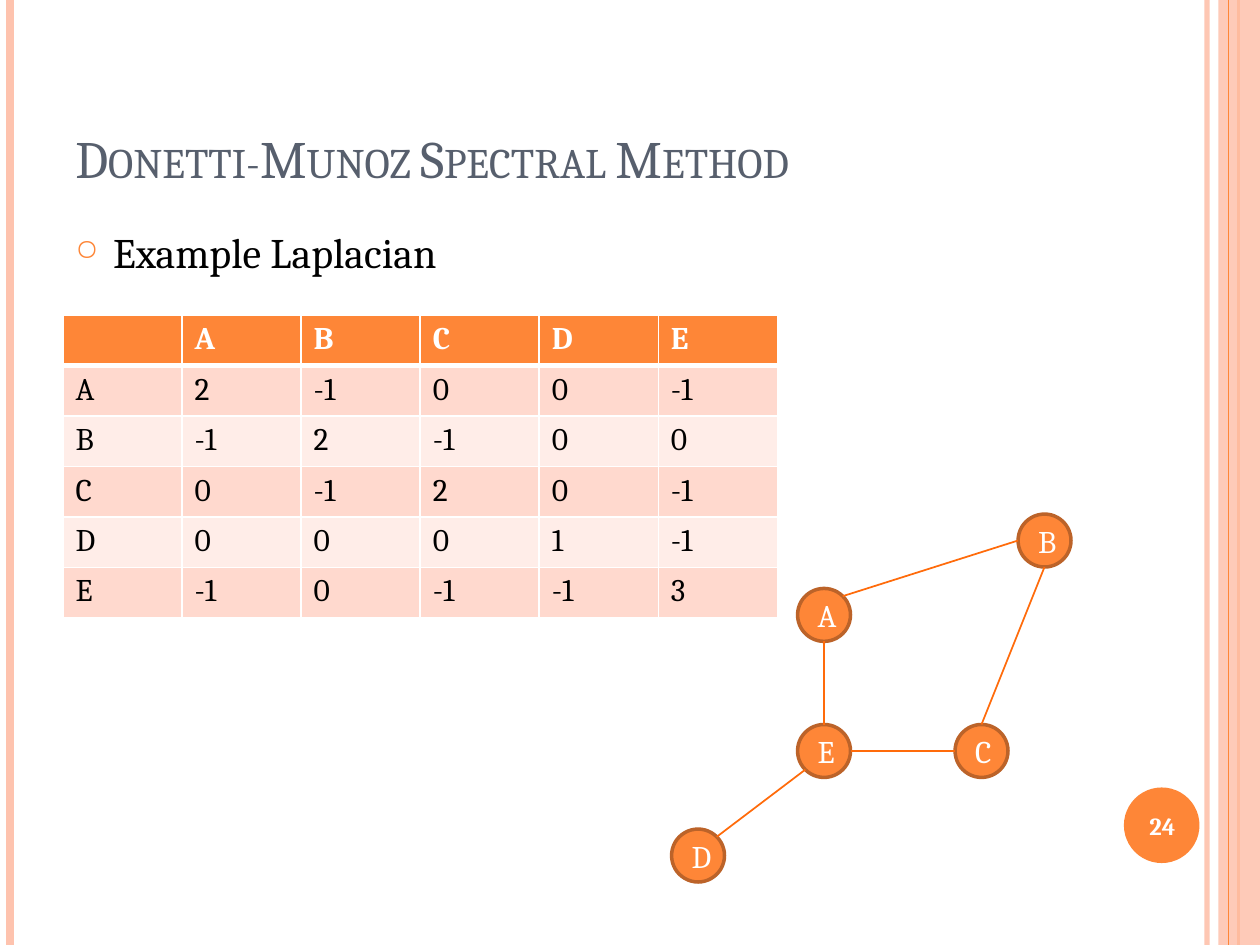
from dataclasses import dataclass
from math import sqrt

from lxml import etree
from pptx import Presentation
from pptx.dml.color import RGBColor
from pptx.enum.shapes import MSO_CONNECTOR, MSO_SHAPE
from pptx.enum.text import MSO_ANCHOR, PP_ALIGN
from pptx.oxml.ns import qn
from pptx.util import Inches, Pt


@dataclass(frozen=True)
class Theme:
    font: str = "Cambria"
    orange: str = "FE8637"
    peach: str = "FEC3AE"
    node_line: str = "BC6329"
    edge: str = "FF6B0A"
    title: str = "575F6D"
    black: str = "000000"
    white: str = "FFFFFF"
    bands: tuple = ("FFD9CE", "FFEDE8")
    title_size: int = 30
    body_size: int = 24
    label_size: int = 18
    number_size: int = 14


THEME = Theme()

LABELS = "ABCDE"
LAPLACIAN = [
    [2, -1, 0, 0, -1],
    [-1, 2, -1, 0, 0],
    [0, -1, 2, 0, -1],
    [0, 0, 0, 1, -1],
    [-1, 0, -1, -1, 3],
]

NODE_SIZE = 0.42
NODES = {"A": (6.33, 4.67), "D": (5.33, 6.58), "C": (7.58, 5.75),
         "B": (8.08, 4.08), "E": (6.33, 5.75)}

# Directions from a node's centre to its rim
DIAGONAL = 1 / sqrt(2)
TOP, BOTTOM, LEFT, RIGHT = (0, -1), (0, 1), (-1, 0), (1, 0)
TOP_RIGHT, BOTTOM_LEFT = (DIAGONAL, -DIAGONAL), (-DIAGONAL, DIAGONAL)
EDGES = [("D", TOP_RIGHT, "E", BOTTOM_LEFT), ("E", TOP, "A", BOTTOM),
         ("E", RIGHT, "C", LEFT), ("C", TOP, "B", BOTTOM),
         ("A", TOP_RIGHT, "B", LEFT)]


def rgb(value):
    return RGBColor.from_string(value)


def set_alpha(element, percent):
    color = element.find(".//" + qn("a:srgbClr"))
    etree.SubElement(color, qn("a:alpha"), val=str(percent * 1000))


def write(frame, text, size, color, bold=False, align=PP_ALIGN.LEFT):
    paragraph = frame.paragraphs[0]
    paragraph.alignment = align
    run = paragraph.add_run()
    run.text = text
    run.font.name = THEME.font
    run.font.size = Pt(size)
    run.font.bold = bold
    run.font.color.rgb = rgb(color)
    return paragraph


def add_text(slide, box, text, size, color, anchor=MSO_ANCHOR.TOP, **style):
    frame = slide.shapes.add_textbox(*map(Inches, box)).text_frame
    frame.word_wrap = True
    frame.vertical_anchor = anchor
    return write(frame, text, size, color, **style)


def add_line(slide, start, end, color, width, alpha=None):
    line = slide.shapes.add_connector(
        MSO_CONNECTOR.STRAIGHT, *map(Inches, (*start, *end)))
    line.line.color.rgb = rgb(color)
    line.line.width = Pt(width)
    properties = line._element.spPr
    if alpha:
        set_alpha(properties, alpha)
    etree.SubElement(properties, qn("a:effectLst"))


def add_shape(slide, kind, box, fill, line=None, width=0):
    shape = slide.shapes.add_shape(kind, *map(Inches, box))
    shape.shadow.inherit = False
    shape.fill.solid()
    shape.fill.fore_color.rgb = rgb(fill)
    if line:
        shape.line.color.rgb = rgb(line)
        shape.line.width = Pt(width)
    else:
        shape.line.fill.background()
    return shape


def add_side_bars(slide):
    def bar(x, color, width, alpha=None):
        add_line(slide, (x, 0), (x, 7.5), color, width, alpha)

    bar(9.58, THEME.peach, 3, 93)
    bar(0.08, THEME.peach, 4.5)
    bar(9.83, THEME.orange, 1.5)
    band = add_shape(slide, MSO_SHAPE.RECTANGLE, (9.67, 0, 0.33, 7.5), THEME.peach)
    set_alpha(band._element.spPr, 87)
    bar(9.75, THEME.orange, 0.75)


def add_slide_number(slide, number):
    add_shape(slide, MSO_SHAPE.OVAL, (8.92, 6.25, 0.6, 0.6), THEME.orange)
    add_text(slide, (8.89, 6.27, 0.67, 0.57), number, THEME.number_size,
             THEME.white, MSO_ANCHOR.MIDDLE, bold=True, align=PP_ALIGN.CENTER)


def add_title(slide, text):
    paragraph = add_text(slide, (0.5, 0.3, 8.17, 1.25), text, THEME.title_size,
                         THEME.title, MSO_ANCHOR.BOTTOM)
    paragraph.runs[0].font._element.set("cap", "small")


def add_bullet(slide, text):
    paragraph = add_text(slide, (0.5, 1.75, 8.17, 0.6), text,
                         THEME.body_size, THEME.black)
    paragraph.space_before = Pt(6)
    properties = paragraph._p.get_or_add_pPr()
    properties.set("marL", str(Inches(0.3)))
    properties.set("indent", str(-Inches(0.3)))
    color = etree.SubElement(properties, qn("a:buClr"))
    etree.SubElement(color, qn("a:srgbClr"), val=THEME.orange)
    etree.SubElement(properties, qn("a:buSzPct"), val="70000")
    etree.SubElement(properties, qn("a:buChar"), char="○")


def style_cell(cell, fill, bottom):
    properties = cell._tc.get_or_add_tcPr()
    for side, width in (("L", 1), ("R", 1), ("T", 1), ("B", bottom)):
        border = etree.SubElement(properties, qn("a:ln" + side), w=str(Pt(width)))
        paint = etree.SubElement(border, qn("a:solidFill"))
        etree.SubElement(paint, qn("a:srgbClr"), val=THEME.white)
    cell.fill.solid()
    cell.fill.fore_color.rgb = rgb(fill)


def add_matrix(slide):
    rows = [["", *LABELS]]
    rows += [[label, *map(str, values)] for label, values in zip(LABELS, LAPLACIAN)]
    count, row_height = len(rows), 0.39
    table = slide.shapes.add_table(
        count, count, Inches(0.5), Inches(2.5),
        Inches(5.67), Inches(count * row_height)).table
    for r, values in enumerate(rows):
        header = r == 0
        fill = THEME.orange if header else THEME.bands[(r - 1) % 2]
        color = THEME.white if header else THEME.black
        for c, value in enumerate(values):
            cell = table.cell(r, c)
            style_cell(cell, fill, 3 if header else 1)
            write(cell.text_frame, value, THEME.label_size, color, bold=header)


def rim_point(name, direction):
    radius = NODE_SIZE / 2
    return [corner + radius * (1 + d) for corner, d in zip(NODES[name], direction)]


def add_graph(slide):
    for name, corner in NODES.items():
        node = add_shape(slide, MSO_SHAPE.OVAL, (*corner, NODE_SIZE, NODE_SIZE),
                         THEME.orange, THEME.node_line, 2)
        node.text_frame.vertical_anchor = MSO_ANCHOR.MIDDLE
        write(node.text_frame, name, THEME.label_size, THEME.white,
              align=PP_ALIGN.CENTER)
    for first, leave, second, arrive in EDGES:
        add_line(slide, rim_point(first, leave), rim_point(second, arrive),
                 THEME.edge, 1)


def main():
    deck = Presentation()
    deck.slide_width, deck.slide_height = Inches(10), Inches(7.5)
    slide = deck.slides.add_slide(deck.slide_layouts[6])

    # Frame
    add_side_bars(slide)
    add_slide_number(slide, "24")

    # Content
    add_title(slide, "Donetti-Munoz Spectral Method")
    add_bullet(slide, "Example Laplacian")
    add_graph(slide)
    add_matrix(slide)

    deck.save("out.pptx")


main()
